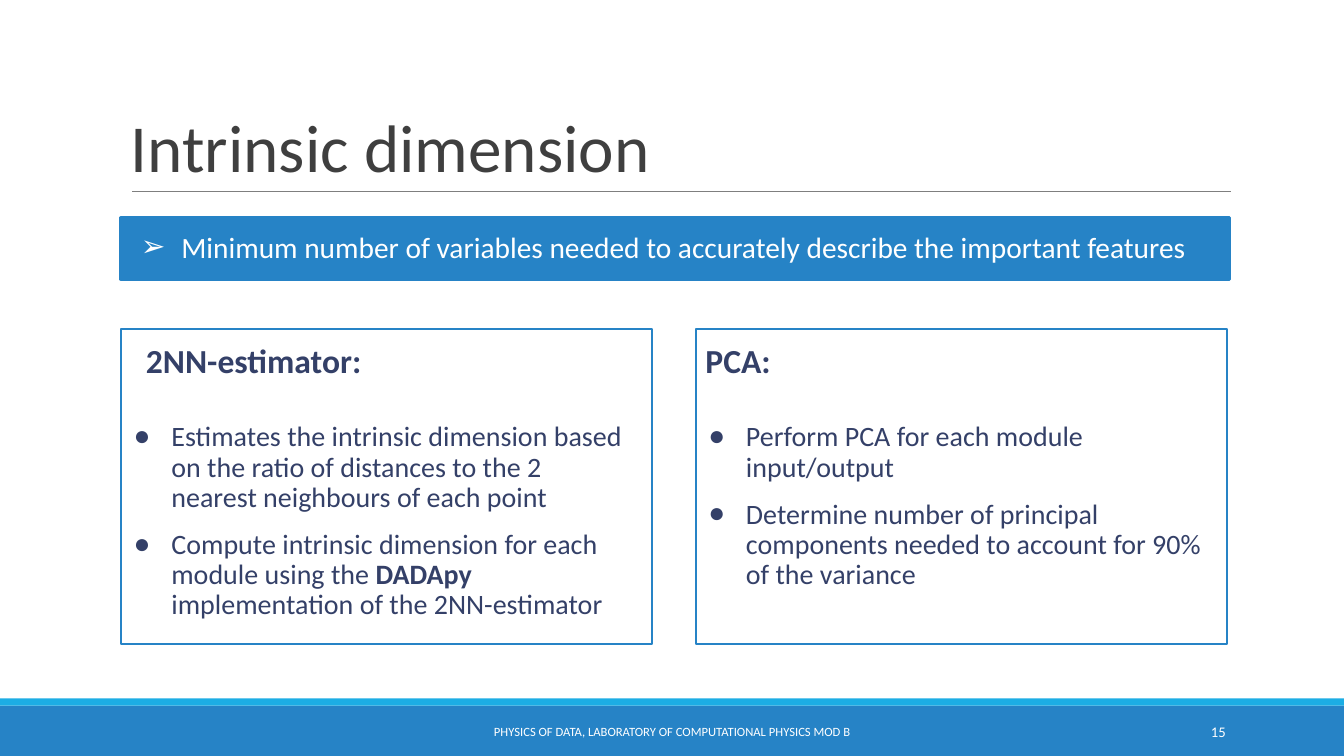
from dataclasses import dataclass

from lxml import etree
from pptx import Presentation
from pptx.dml.color import RGBColor
from pptx.enum.shapes import MSO_CONNECTOR, MSO_SHAPE
from pptx.enum.text import MSO_ANCHOR, PP_ALIGN
from pptx.oxml.ns import qn
from pptx.util import Cm, Pt

RECTANGLE = MSO_SHAPE.RECTANGLE
STRAIGHT = MSO_CONNECTOR.STRAIGHT
TOP, MIDDLE, BOTTOM = MSO_ANCHOR.TOP, MSO_ANCHOR.MIDDLE, MSO_ANCHOR.BOTTOM
LEFT, CENTER, RIGHT = PP_ALIGN.LEFT, PP_ALIGN.CENTER, PP_ALIGN.RIGHT


@dataclass(frozen=True)
class Theme:
    font: str = "Calibri"
    blue: str = "2683C6"
    cyan: str = "1CADE4"
    navy: str = "344068"
    charcoal: str = "3F3F3F"
    gray: str = "7F7F7F"
    white: str = "FFFFFF"
    title: float = 48
    heading: float = 24
    banner: float = 21
    body: float = 20
    number: float = 10.5
    footer: float = 9


def add_span(para, text, *, font, size, color, bold=False):
    span = para.add_run()
    span.text = text
    span.font.name = font
    span.font.size = Pt(size)
    span.font.bold = bold
    span.font.color.rgb = RGBColor.from_string(color)


class SlideBuilder:
    def __init__(self, page, theme):
        self.page = page
        self.theme = theme

    def rectangle(self, left, top, width, height, fill=None, line=None, weight=1.5):
        box = self.page.shapes.add_shape(RECTANGLE, Cm(left), Cm(top), Cm(width), Cm(height))
        box.shadow.inherit = False
        if fill:
            box.fill.solid()
            box.fill.fore_color.rgb = RGBColor.from_string(fill)
        else:
            box.fill.background()
        if line:
            box.line.color.rgb = RGBColor.from_string(line)
            box.line.width = Pt(weight)
        else:
            box.line.fill.background()
        return box

    def rule(self, left, right, top):
        line = self.page.shapes.add_connector(STRAIGHT, Cm(left), Cm(top), Cm(right), Cm(top))
        line.line.color.rgb = RGBColor.from_string(self.theme.gray)
        line.line.width = Pt(0.75)
        etree.SubElement(line._element.spPr, qn("a:effectLst"))

    def text_box(self, left, top, width, height, paragraphs, **style):
        box = self.page.shapes.add_textbox(Cm(left), Cm(top), Cm(width), Cm(height))
        self.set_text(box, paragraphs, **style)

    def set_text(self, box, paragraphs, *, size, color, bold=False, anchor=MIDDLE, align=LEFT,
                 side=0.25, spacing=0.9, margin=0, hanging=0, bullet=None, before=0):
        frame = box.text_frame
        frame.word_wrap = True
        frame.vertical_anchor = anchor
        frame.margin_left = frame.margin_right = Cm(side)
        frame.margin_top = frame.margin_bottom = Cm(0.13)
        for index, spans in enumerate(paragraphs):
            para = frame.add_paragraph() if index else frame.paragraphs[0]
            para.alignment = align
            para.line_spacing = spacing
            para.space_before = Pt(before if index else 0)
            self.indent(para, margin, hanging, bullet, color)
            for text, emphasis in spans:
                add_span(para, text, font=self.theme.font, size=size, color=color,
                         bold=bold or emphasis)

    def indent(self, para, margin, hanging, bullet, color):
        properties = para._p.get_or_add_pPr()
        properties.set("marL", str(Cm(margin)))
        properties.set("indent", str(-Cm(hanging)))
        if bullet:
            tint = etree.SubElement(properties, qn("a:buClr"))
            etree.SubElement(tint, qn("a:srgbClr"), val=color)
            etree.SubElement(properties, qn("a:buFont"), typeface="Arial")
            etree.SubElement(properties, qn("a:buChar"), char=bullet)

    def panel(self, left, heading, items, list_width, **heading_style):
        theme = self.theme
        self.rectangle(left, 8.28, 13.39, 7.95, line=theme.blue)
        self.text_box(left, 8.1, 13.39, 2.06, [[(heading, False)]], bold=True,
                      size=theme.heading, color=theme.navy, **heading_style)
        self.text_box(left, 10.52, list_width, 5.74, items, size=theme.body, color=theme.navy,
                      anchor=TOP, side=0, margin=1.27, hanging=0.95, bullet="●", before=12)


def main():
    theme = Theme()
    deck = Presentation()
    deck.slide_width, deck.slide_height = Cm(33.87), Cm(19.05)
    page = deck.slides.add_slide(deck.slide_layouts[6])
    builder = SlideBuilder(page, theme)
    left, width = 3.05, 27.94

    builder.rectangle(0, 17.78, 33.87, 1.27, fill=theme.blue)
    builder.rectangle(0, 17.6, 33.87, 0.18, fill=theme.cyan)
    builder.rule(3.33, 31.01, 4.83)
    builder.text_box(left, 0.79, width, 4.04, [[("Intrinsic dimension", False)]],
                     size=theme.title, color=theme.charcoal, anchor=BOTTOM, spacing=0.85)

    banner = builder.rectangle(left, 5.49, width, 1.55, fill=theme.blue,
                               line=theme.blue, weight=2.25)
    message = "Minimum number of variables needed to accurately describe the important features"
    builder.set_text(banner, [[(message, False)]], size=theme.banner, color=theme.white,
                     margin=1.27, hanging=1.02, bullet="➢")

    builder.panel(left, "2NN-estimator:", [
        [("Estimates the intrinsic dimension based on the ratio of distances to the 2 "
          "nearest neighbours of each point", False)],
        [("Compute intrinsic dimension for each module using the ", False),
         ("DADApy ", True),
         ("implementation of the 2NN-estimator", False)],
    ], list_width=12.7, side=0, margin=1.27, hanging=0.64)
    builder.panel(17.53, "PCA:", [
        [("Perform PCA for each module input/output", False)],
        [("Determine number of principal components needed to account for 90% "
          "of the variance", False)],
    ], list_width=13.39)

    builder.text_box(10.24, 17.93, 13.39, 1.02,
                     [[("PHYSICS OF DATA, LABORATORY OF COMPUTATIONAL PHYSICS MOD B", False)]],
                     size=theme.footer, color=theme.white, align=CENTER, spacing=1.0)
    builder.text_box(27.51, 17.93, 3.63, 1.02, [[("15", False)]],
                     size=theme.number, color=theme.white, align=RIGHT, spacing=1.0)
    deck.save("out.pptx")


if __name__ == "__main__":
    main()
